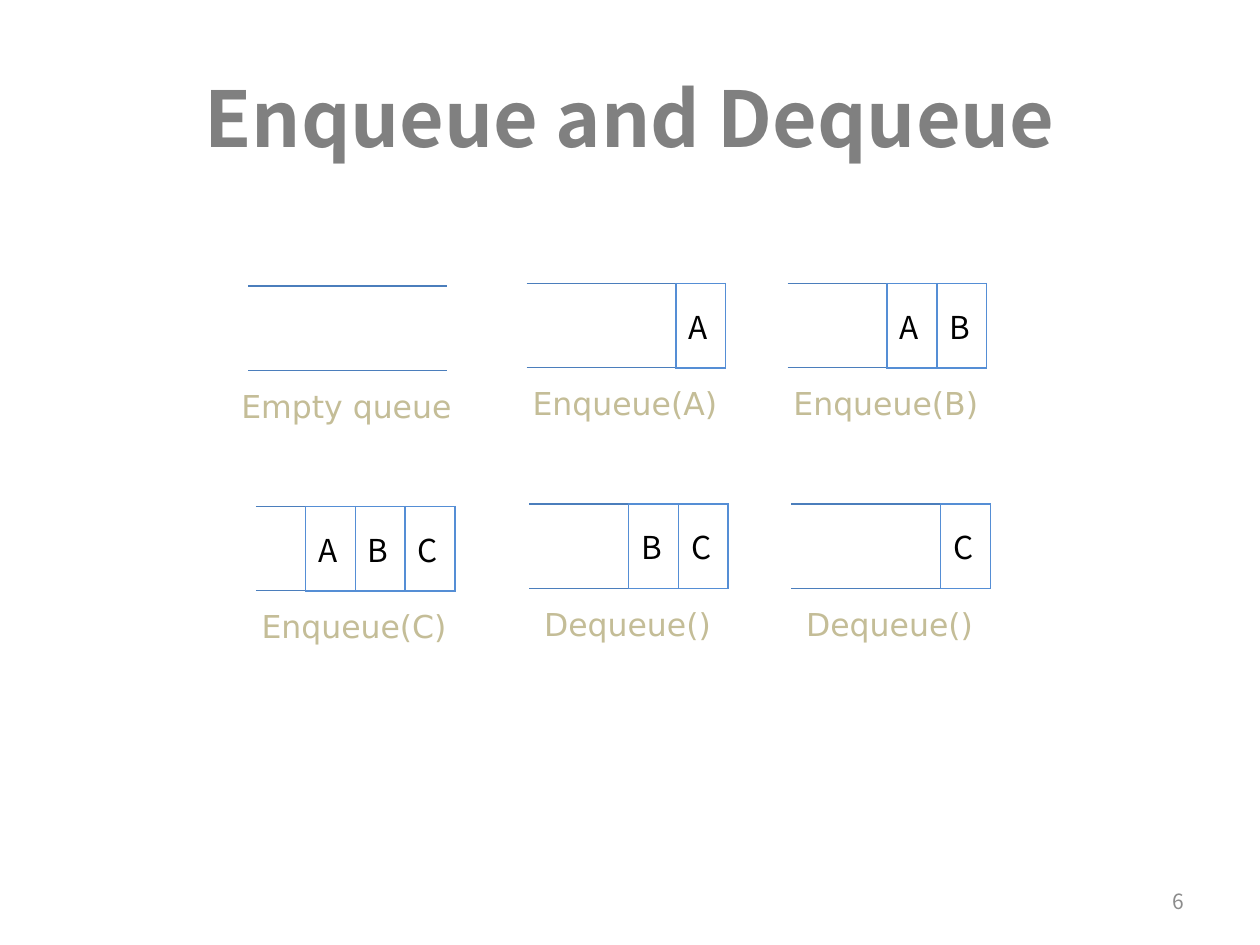
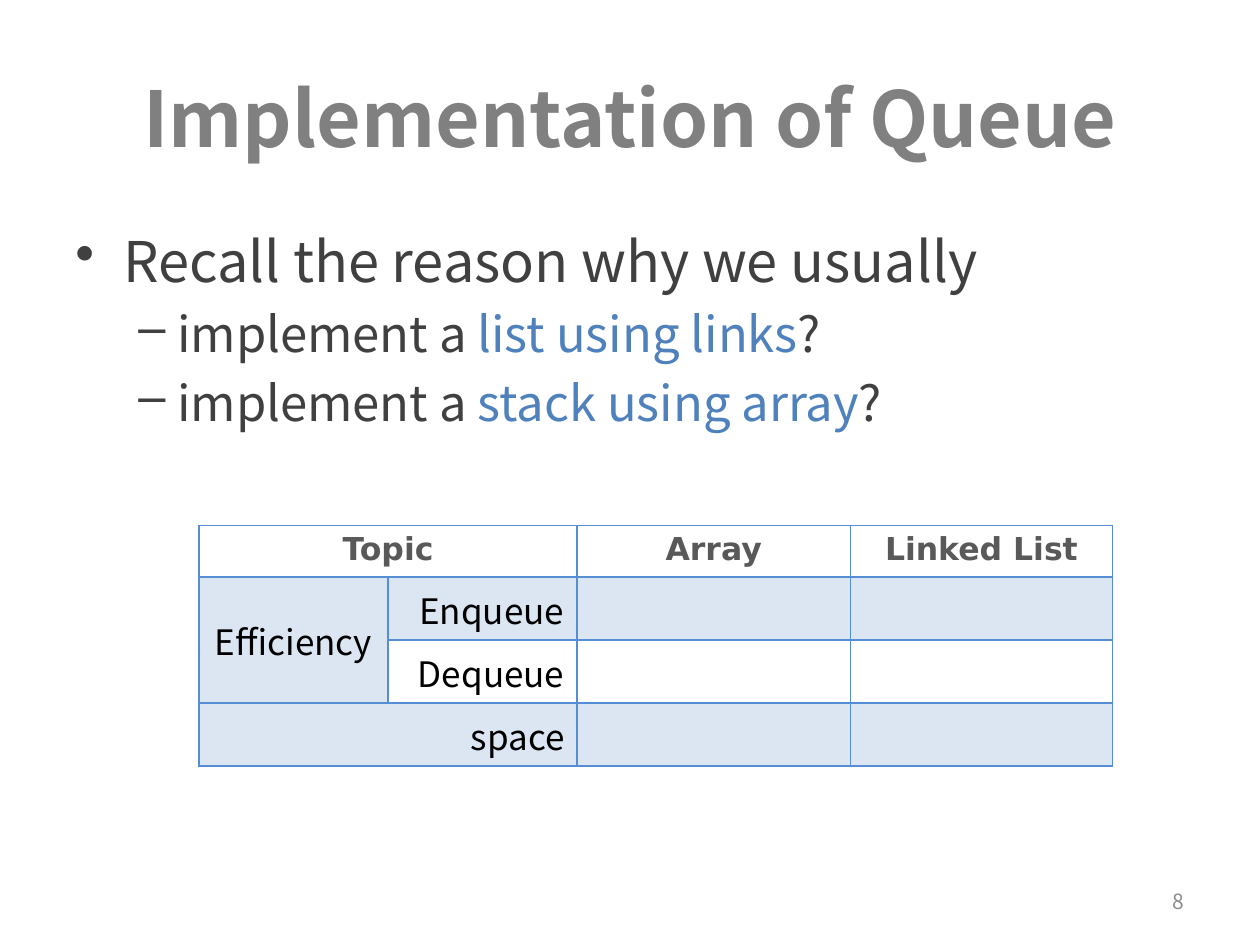
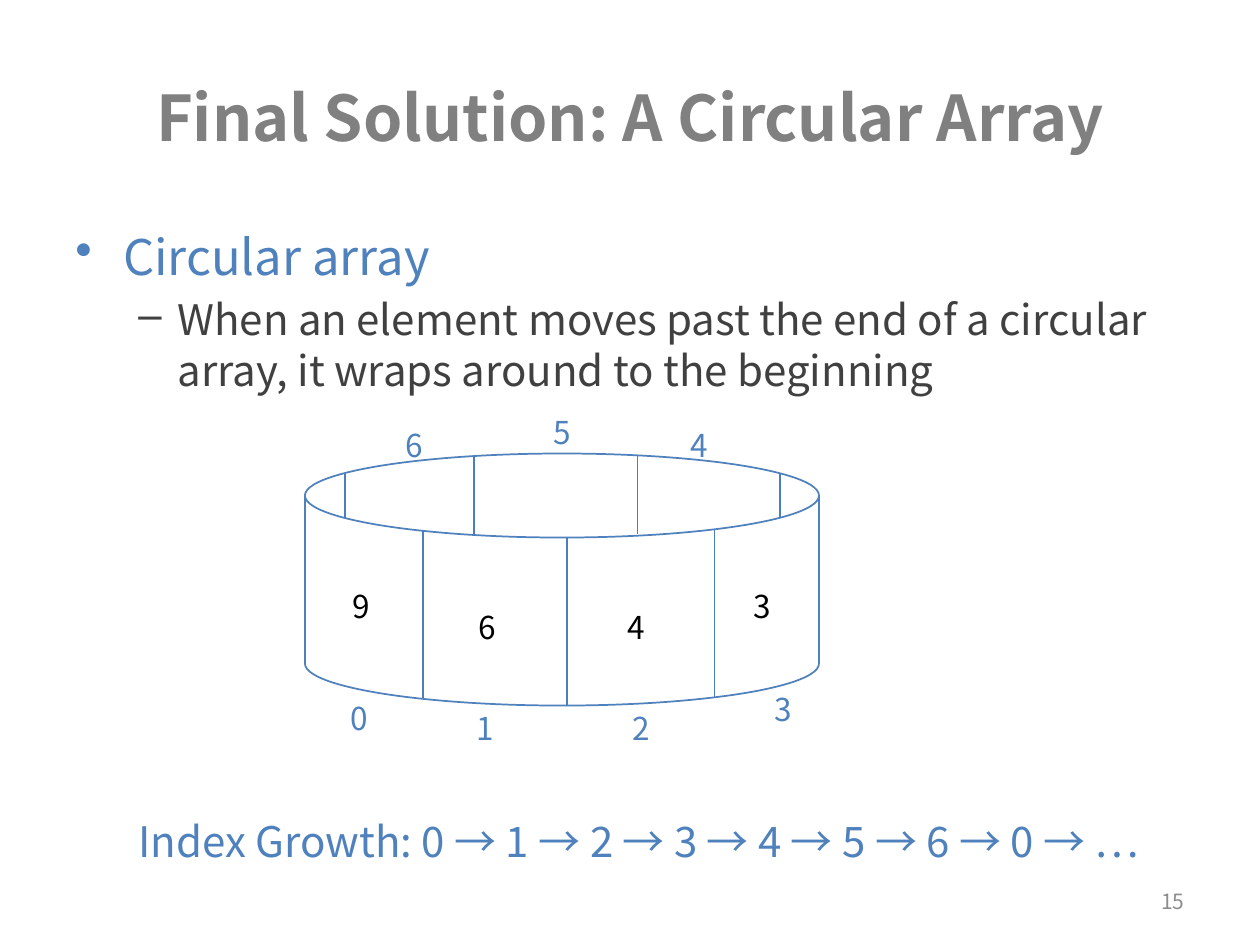
"""Build three slides about queues: operations, implementation and circular arrays."""
from lxml import etree
from pptx import Presentation
from pptx import util as u
from pptx.dml.color import RGBColor
from pptx.enum import shapes, text
from pptx.oxml import ns


class Theme:
    body_font, label_font = "Noto Sans CJK SC", "DejaVu Sans"
    title, ink, black, white = "808080", "404040", "000000", "FFFFFF"
    accent, line, border = "4F81BD", "4B7EBC", "558ED5"
    label, header, band, number = "C4BD97", "595959", "DCE6F2", "8C8C8C"
    title_size, long_title_size = 44, 36
    cell_size, table_size, index_size, number_size = 18, 20, 24, 12


LEFT, CENTER, RIGHT = text.PP_ALIGN.LEFT, text.PP_ALIGN.CENTER, text.PP_ALIGN.RIGHT
MIDDLE = text.MSO_ANCHOR.MIDDLE

QUEUE_WIDTH, QUEUE_HEIGHT, QUEUE_SLOTS = 1.58, 0.67, 4
QUEUES = [
    (1.97, 2.27, "", "Empty queue"),
    (4.18, 2.25, "A", "Enqueue(A)"),
    (6.25, 2.25, "AB", "Enqueue(B)"),
    (2.03, 4.02, "ABC", "Enqueue(C)"),
    (4.20, 4.00, "BC", "Dequeue()"),
    (6.28, 4.00, "C", "Dequeue()"),
]

RECALL = [
    (0, 32, [("Recall the reason why we usually", False)]),
    (1, 28, [("implement a ", False), ("list using links", True), ("?", False)]),
    (1, 28, [("implement a ", False), ("stack using array", True), ("?", False)]),
]
COMPARISON_COLUMNS = [1.5, 1.5, 2.17, 2.08]
COMPARISON_ROW_HEIGHTS = [0.41, 0.5, 0.5, 0.5]
COMPARISON = [
    ["Topic", "", "Array", "Linked List"],
    ["Efficiency", "Enqueue", "", ""],
    ["", "Dequeue", "", ""],
    ["space", "", "", ""],
]
MERGES = [((0, 0), (0, 1)), ((1, 0), (2, 0)), ((3, 0), (3, 1))]
BANDED_CELLS = [(1, 0), (1, 1), (1, 2), (1, 3), (2, 0), (3, 0), (3, 1), (3, 2), (3, 3)]

CIRCULAR = [
    (0, 28, [("Circular array", True)]),
    (1, 24, [("When an element moves past the end of a circular array, "
              "it wraps around to the beginning", False)]),
]
INDEX_GROWTH = "Index Growth: 0 → 1 → 2 → 3 → 4 → 5 → 6 → 0 → …"
DIVIDERS = [
    (3.36, 4.21, 5.54), (4.50, 4.27, 5.60), (5.67, 4.21, 5.54),
    (6.19, 3.76, 4.11), (5.06, 3.62, 4.24), (3.76, 3.62, 4.25), (2.74, 3.76, 4.11),
]
VALUES = [("9", 2.70, 4.61), ("6", 3.70, 4.78), ("4", 4.88, 4.78), ("3", 5.88, 4.61)]
INDEXES = [
    ("0", 2.68, 5.50), ("1", 3.68, 5.58), ("2", 4.92, 5.58), ("3", 6.05, 5.43),
    ("4", 5.38, 3.33), ("5", 4.29, 3.23), ("6", 3.12, 3.33),
]


def inches(*lengths):
    return [u.Inches(length) for length in lengths]


def color(value):
    return RGBColor.from_string(value)


def style(paragraph, size, fill, align=LEFT, name=Theme.body_font, bold=False):
    paragraph.alignment = align
    font = paragraph.font
    font.name, font.size, font.bold = name, u.Pt(size), bold
    font.color.rgb = color(fill)


def add_text(slide, box, words, size, fill, wrap=True, anchor=text.MSO_ANCHOR.TOP, **options):
    frame = slide.shapes.add_textbox(*inches(*box)).text_frame
    frame.word_wrap, frame.vertical_anchor = wrap, anchor
    frame.text = words
    style(frame.paragraphs[0], size, fill, **options)


def add_slide(presentation, title, number, title_size=Theme.title_size):
    slide = presentation.slides.add_slide(presentation.slide_layouts[6])
    add_text(slide, (0.5, 0.3, 9, 1.25), title, title_size, Theme.title,
             anchor=MIDDLE, align=CENTER, bold=True)
    add_text(slide, (7.17, 6.95, 2.33, 0.4), str(number), Theme.number_size, Theme.number,
             anchor=MIDDLE, align=RIGHT)
    return slide


def add_bullets(slide, items, height):
    frame = slide.shapes.add_textbox(*inches(0.5, 1.75, 9, height)).text_frame
    frame.word_wrap = True
    for position, (level, size, runs) in enumerate(items):
        paragraph = frame.add_paragraph() if position else frame.paragraphs[0]
        paragraph.level = level
        paragraph.space_before = u.Pt(size / 5 if position else 4)
        margin, indent, mark = [(0.38, -0.38, "•"), (0.81, -0.31, "–")][level]
        properties = paragraph._p.get_or_add_pPr()
        properties.set("marL", str(u.Inches(margin)))
        properties.set("indent", str(u.Inches(indent)))
        etree.SubElement(properties, ns.qn("a:buChar"), char=mark)
        style(paragraph, size, Theme.ink)
        for words, accented in runs:
            run = paragraph.add_run()
            run.text = words
            run.font.color.rgb = color(Theme.accent if accented else Theme.ink)


def add_table(slide, left, top, widths, heights):
    width, height = sum(widths), sum(heights)
    frame = slide.shapes.add_table(len(heights), len(widths), *inches(left, top, width, height))
    table = frame.table
    table.first_row = table.horz_banding = False
    for column, size in zip(table.columns, widths):
        column.width = u.Inches(size)
    for row, size in zip(table.rows, heights):
        row.height = u.Inches(size)
    return table


def set_borders(cell, borders):
    properties = cell._tc.get_or_add_tcPr()
    for side in "LRTB":
        fill, width = borders.get(side, (None, 0))
        line = etree.SubElement(properties, ns.qn(f"a:ln{side}"), w=str(u.Pt(width)))
        if fill:
            solid = etree.SubElement(line, ns.qn("a:solidFill"))
            etree.SubElement(solid, ns.qn("a:srgbClr"), val=fill)
        else:
            etree.SubElement(line, ns.qn("a:noFill"))


def add_queue(slide, left, top, letters, label):
    table = add_table(slide, left, top, [QUEUE_WIDTH / QUEUE_SLOTS] * QUEUE_SLOTS, [QUEUE_HEIGHT])
    first = QUEUE_SLOTS - len(letters)
    for slot in range(QUEUE_SLOTS):
        cell = table.cell(0, slot)
        if slot >= first:
            set_borders(cell, dict.fromkeys("LRTB", (Theme.border, 1)))
            cell.text = letters[slot - first]
            style(cell.text_frame.paragraphs[0], Theme.cell_size, Theme.black)
        else:
            borders = dict.fromkeys("TB", (Theme.line, 0.75))
            if slot == first - 1 and letters:
                borders["R"] = (Theme.border, 1)
            set_borders(cell, borders)
        cell.vertical_anchor = MIDDLE
        cell.fill.background()
    add_text(slide, (left - 0.16, top + 0.75, QUEUE_WIDTH + 0.3, 0.4), label, Theme.cell_size,
             Theme.label, wrap=False, align=CENTER, name=Theme.label_font)


def add_comparison(slide):
    table = add_table(slide, 1.58, 4.17, COMPARISON_COLUMNS, COMPARISON_ROW_HEIGHTS)
    for start, end in MERGES:
        table.cell(*start).merge(table.cell(*end))
    for row, entries in enumerate(COMPARISON):
        for column, words in enumerate(entries):
            cell = table.cell(row, column)
            set_borders(cell, dict.fromkeys("LRTB", (Theme.border, 1)))
            if (row, column) in BANDED_CELLS:
                cell.fill.solid()
                cell.fill.fore_color.rgb = color(Theme.band)
            else:
                cell.fill.background()
            if not words:
                continue
            cell.text = words
            paragraph = cell.text_frame.paragraphs[0]
            if row == 0:
                style(paragraph, Theme.cell_size, Theme.header, CENTER, Theme.label_font, True)
            elif words == "Efficiency":
                cell.vertical_anchor = MIDDLE
                style(paragraph, Theme.table_size, Theme.black, CENTER)
            else:
                style(paragraph, Theme.table_size, Theme.black, RIGHT)


def add_ring(slide):
    disk = slide.shapes.add_shape(shapes.MSO_SHAPE.FLOWCHART_MAGNETIC_DISK,
                                  *inches(2.42, 3.6, 4.08, 2))
    disk.shadow.inherit = False
    disk.fill.solid()
    disk.fill.fore_color.rgb = color(Theme.white)
    disk.line.color.rgb = color(Theme.accent)
    disk.line.width = u.Pt(1)
    for x, top, bottom in DIVIDERS:
        divider = slide.shapes.add_connector(shapes.MSO_CONNECTOR.STRAIGHT,
                                             *inches(x, top, x, bottom))
        divider.line.color.rgb = color(Theme.line)
        divider.line.width = u.Pt(1)
        etree.SubElement(divider._element.spPr, ns.qn("a:effectLst"))
    for digits, fill in ((VALUES, Theme.black), (INDEXES, Theme.accent)):
        for digit, left, top in digits:
            add_text(slide, (left, top, 0.34, 0.4), digit, Theme.cell_size, fill,
                     wrap=False, align=CENTER)


def main():
    presentation = Presentation()
    presentation.slide_width, presentation.slide_height = inches(10, 7.5)

    operations = add_slide(presentation, "Enqueue and Dequeue", 6)
    for queue in QUEUES:
        add_queue(operations, *queue)

    implementation = add_slide(presentation, "Implementation of Queue", 8)
    add_bullets(implementation, RECALL, 1.92)
    add_comparison(implementation)

    circular = add_slide(presentation, "Final Solution: A Circular Array", 15,
                         Theme.long_title_size)
    add_bullets(circular, CIRCULAR, 1.5)
    add_ring(circular)
    add_text(circular, (1, 6.42, 8.5, 0.5), INDEX_GROWTH, Theme.index_size, Theme.accent)

    presentation.save("out.pptx")


if __name__ == "__main__":
    main()
